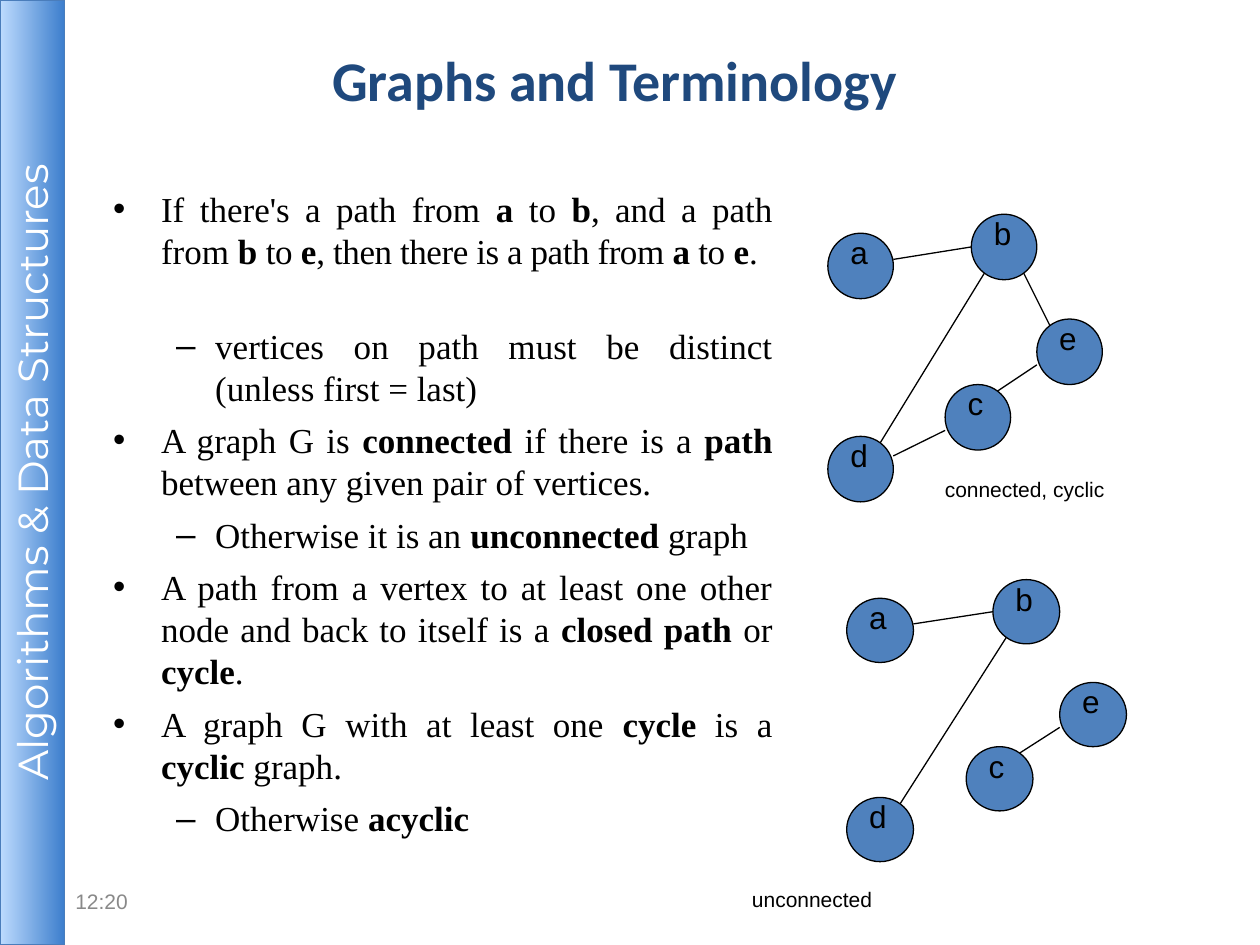
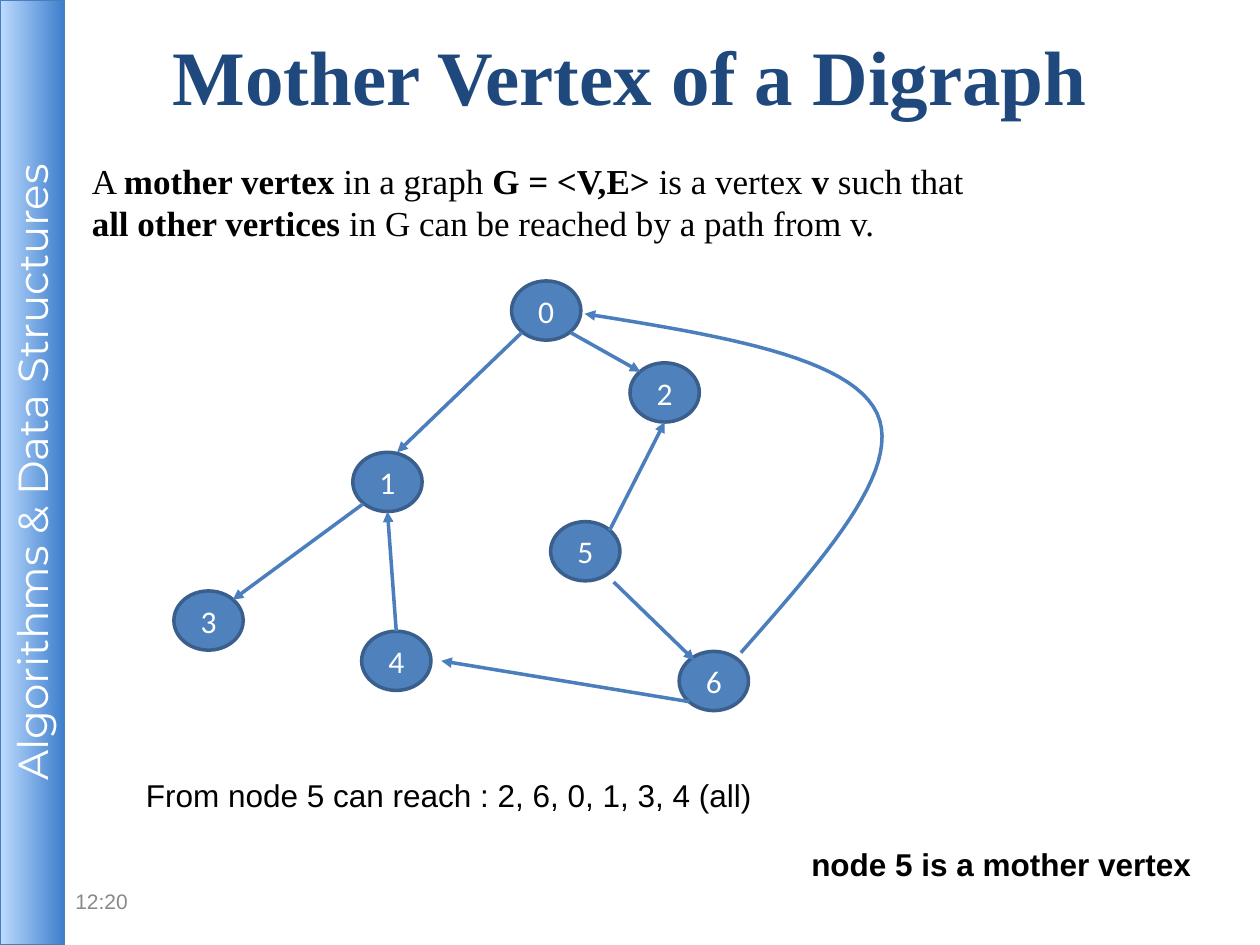
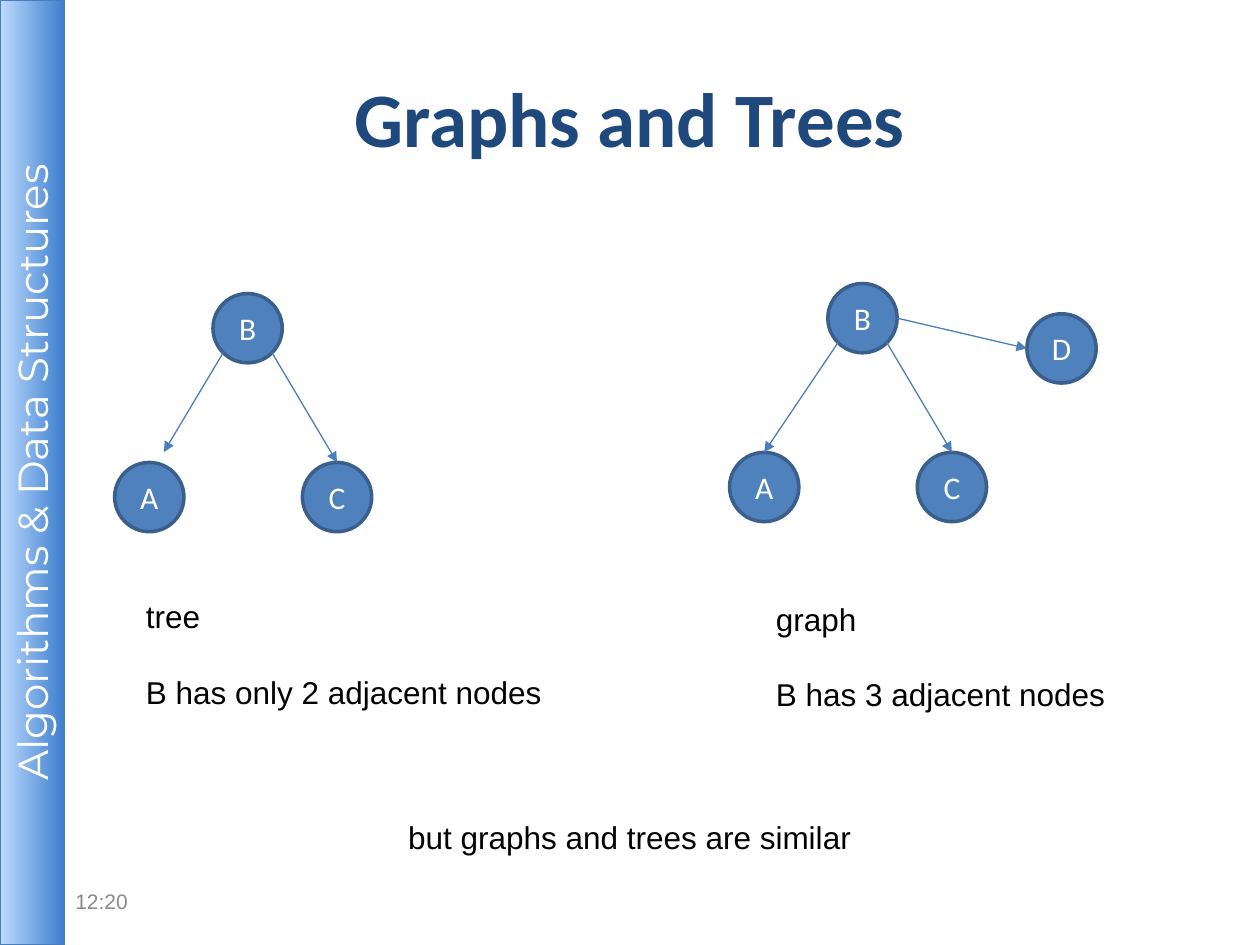
from dataclasses import dataclass
from lxml.etree import SubElement
from pptx import Presentation
from pptx.dml.color import RGBColor as RGB
from pptx.enum.shapes import MSO_CONNECTOR as CONN, MSO_SHAPE as SHAPE
from pptx.enum.text import MSO_ANCHOR as ANCHOR, MSO_AUTO_SIZE as AUTO, PP_ALIGN as ALIGN
from pptx.oxml.ns import qn
from pptx.util import Inches, Pt


@dataclass(frozen=True)
class Theme:
    title: str = "1F497D"
    ink: str = "000000"
    muted: str = "898989"
    white: str = "FFFFFF"
    node: str = "4F81BD"
    rim: str = "3A5F8C"
    arrow: str = "4B7EBC"
    band_line: str = "4A7DBB"
    band_from: str = "BDDBFE"
    band_to: str = "3E7FCD"
    sans: str = "Arial"
    serif: str = "Times New Roman"
    head: str = "Calibri"
    brand: str = "Montserrat"
    small: int = 12
    label: int = 18
    body: int = 20
    band: int = 24
    thin: float = 0.75
    thick: float = 2


T = Theme()
W, H = 10, 7.5
BAND_W = 0.51
COURSE = "Algorithms & Data Structures"
CLOCK = "12:20"

TERMS = [
    (0, "If there's a path from *a* to *b*, and a path from *b* to *e*, "
        "then there is a path from *a *to *e*."),
    (1, "vertices on path must be distinct (unless first = last)"),
    (0, "A graph G is *connected* if there is a *path* between any given pair of vertices."),
    (1, "Otherwise it is an* unconnected* graph"),
    (0, "A path from a vertex to at least one other node and back to itself "
        "is a *closed path* or *cycle*."),
    (0, "A graph G with at least one *cycle* is a *cyclic* graph."),
    (1, "Otherwise *acyclic*"),
]
BULLETS = [("•", 0.38, 0.38), ("–", 0.81, 0.31)]

MOTHER = [
    "A *mother vertex* in a graph *G = <V,E>* is a vertex *v* such that",
    "*all other vertices* in G can be reached by a path from v.",
]

LETTERS = {"a": (0, 0.29), "b": (2.19, 0), "d": (0, 3.39), "e": (3.19, 1.6), "c": (1.79, 2.6)}
AB = ("a", (1, 0.4), "b", (0, 0.5))
BE = ("b", (0.8, 0.9), "e", (0.2, 0.1))
EC = ("e", (0, 0.7), "c", (0.8, 0.1))
BD = ("b", (0.2, 0.9), "d", (0.8, 0.1))
CD = ("c", (0, 0.7), "d", (1, 0.3))
LETTER_GRAPHS = [
    ((6.57, 1.7), (0.52, 0.52), [AB, BE, EC, BD, CD], "connected, cyclic", (7.4, 3.73, 1.82, 0.38)),
    ((6.72, 4.6), (0.53, 0.51), [AB, EC, BD], "unconnected", (5.87, 6.99, 1.16, 0.3)),
]

DIGRAPH = {"0": (4.06, 2.23), "2": (5, 2.88), "5": (4.37, 4.14), "6": (5.39, 5.17),
           "1": (2.8, 3.59), "4": (2.87, 5.01), "3": (1.38, 4.69)}
DIGRAPH_EDGES = [
    ("0", (0.85, 0.87), "2", (0.15, 0.15)),
    ("5", (0.85, 0.15), "2", (0.5, 1)),
    ("5", (0.91, 1.02), "6", (0.22, 0.15)),
    ("6", (0.15, 0.85), "4", (1.15, 0.5)),
    ("4", (0.5, 0), "1", (0.5, 1)),
    ("0", (0.15, 0.87), "1", (0.64, 0)),
    ("1", (0.15, 0.87), "3", (0.85, 0.15)),
]
RETURN_ARC = [
    [(5.88, 5.18), (6.52, 4.45), (7.17, 3.73), (6.96, 3.28)],
    [(6.96, 3.28), (6.75, 2.83), (5.7, 2.66), (4.64, 2.49)],
]

FAMILY = {"B": (0, 0), "A": (-0.78, 1.34), "C": (0.71, 1.34), "D": (1.58, 0.24)}
B_TO_C = ("B", (0.85, 0.85), "C", (0.5, 0))
TREE_GRAPHS = [
    ((1.69, 2.33), "BAC", [("B", (0.15, 0.85), "A", (0.71, -0.15)), B_TO_C],
     ["tree", "B has only 2 adjacent nodes"], (1.06, 4.69, 3.46, 1.01)),
    ((6.57, 2.25), "BACD", [("B", (0.15, 0.85), "A", (0.5, 0)), B_TO_C,
                            ("B", (1, 0.5), "D", (0, 0.5))],
     ["graph", "B has 3 adjacent nodes"], (6.06, 4.71, 2.84, 1.01)),
]


def inches(values):
    return [Inches(v) for v in values]


def color(value):
    return RGB.from_string(value)


def add_runs(p, text, font, size, ink):
    for i, part in enumerate(text.split("*")):
        if part:
            r = p.add_run()
            r.text = part
            r.font.name, r.font.size = font, Pt(size)
            r.font.bold = i % 2 == 1
            r.font.color.rgb = color(ink)


def add_text(s, box, lines, font=T.sans, size=T.label, ink=T.ink, wrap=False, gap=0):
    tf = s.shapes.add_textbox(*inches(box)).text_frame
    tf.word_wrap = wrap
    tf.auto_size = AUTO.SHAPE_TO_FIT_TEXT
    for i, line in enumerate(lines):
        p = tf.paragraphs[0] if i == 0 else tf.add_paragraph()
        if i:
            p.space_before = Pt(gap)
        add_runs(p, line, font, size, ink)
    return tf


def add_node(s, box, rim, weight):
    sp = s.shapes.add_shape(SHAPE.OVAL, *inches(box))
    sp.shadow.inherit = False
    sp.fill.solid()
    sp.fill.fore_color.rgb = color(T.node)
    sp.line.color.rgb = color(rim)
    sp.line.width = Pt(weight)
    return sp


def style_line(sp, ink, weight, arrow):
    sp.line.color.rgb = color(ink)
    sp.line.width = Pt(weight)
    if arrow:
        SubElement(sp.element.spPr.find(qn("a:ln")), qn("a:tailEnd"), type="triangle")


def add_edges(s, nodes, size, edges, ink=T.arrow, weight=T.thick, arrow=True):
    def spot(name, share):
        return [at + f * length for at, f, length in zip(nodes[name], share, size)]

    for start, start_share, end, end_share in edges:
        ends = spot(start, start_share) + spot(end, end_share)
        c = s.shapes.add_connector(CONN.STRAIGHT, *inches(ends))
        style_line(c, ink, weight, arrow)
        SubElement(c.element.spPr, qn("a:effectLst"))


def add_named_nodes(s, nodes, size):
    for name, at in nodes.items():
        sp = add_node(s, (*at, *size), T.rim, T.thick)
        tf = sp.text_frame
        tf.vertical_anchor = ANCHOR.MIDDLE
        tf.paragraphs[0].alignment = ALIGN.CENTER
        add_runs(tf.paragraphs[0], name, T.head, T.label, T.white)


def place(nodes, origin, unit=(1, 1)):
    return {name: tuple(o + v * u for o, v, u in zip(origin, at, unit))
            for name, at in nodes.items()}


def add_arc(s, curves, steps=24):
    def bezier(curve, t):
        weights = ((1 - t) ** 3, 3 * t * (1 - t) ** 2, 3 * t ** 2 * (1 - t), t ** 3)
        return inches(sum(w * v for w, v in zip(weights, axis)) for axis in zip(*curve))

    points = [bezier(curve, i / steps) for curve in curves for i in range(1, steps + 1)]
    builder = s.shapes.build_freeform(*inches(curves[0][0]))
    builder.add_line_segments(points, close=False)
    sp = builder.convert_to_shape()
    sp.shadow.inherit = False
    sp.fill.background()
    style_line(sp, T.arrow, T.thick, True)


def add_band(s, layout):
    sp = s.shapes.add_shape(SHAPE.RECTANGLE, *inches((0, 0, BAND_W, H)))
    sp.shadow.inherit = False
    sp.fill.gradient()
    sp.fill.gradient_angle = 0
    for stop, ink in zip(sp.fill.gradient_stops, (T.band_from, T.band_to)):
        stop.color.rgb = color(ink)
    sp.line.color.rgb = color(T.band_line)
    sp.line.width = Pt(T.thin)
    tf = sp.text_frame
    tf.margin_left = tf.margin_right = tf.margin_top = tf.margin_bottom = Inches(0.04)
    tf.vertical_anchor = ANCHOR.MIDDLE
    tf.paragraphs[0].alignment = ALIGN.CENTER
    add_runs(tf.paragraphs[0], COURSE, T.brand, T.band, T.white)
    sp.element.txBody.find(qn("a:bodyPr")).set("vert", "vert270")
    sp.element.nvSpPr.cNvPr.set("id", "20")
    layout.shapes.element.insert(2, sp.element)


def add_slide(prs, title, left, top, font, size):
    s = prs.slides.add_slide(prs.slide_layouts[5])
    sp = s.shapes.title
    sp.left, sp.top, sp.width, sp.height = inches((left, top, 0.9 * W, H / 6))
    tf = sp.text_frame
    tf.vertical_anchor = ANCHOR.MIDDLE
    tf.paragraphs[0].alignment = ALIGN.CENTER
    add_runs(tf.paragraphs[0], f"*{title}*", font, size, T.title)
    tf = add_text(s, (0.5, 6.95, 2.33, 0.4), [CLOCK], size=T.small, ink=T.muted, wrap=True)
    tf.auto_size = AUTO.NONE
    tf.vertical_anchor = ANCHOR.MIDDLE
    return s


def add_terms(s):
    tf = add_text(s, (0.8, 1.44, 5.43, 5.29), [text for _, text in TERMS],
                  T.serif, T.body, wrap=True)
    tf.auto_size = AUTO.NONE
    for p, (level, _) in zip(tf.paragraphs, TERMS):
        mark, margin, hang = BULLETS[level]
        p.level = level
        p.alignment = ALIGN.JUSTIFY
        p.space_before = Pt(6)
        pPr = p._p.get_or_add_pPr()
        pPr.set("marL", str(Inches(margin)))
        pPr.set("indent", str(-Inches(hang)))
        SubElement(pPr, qn("a:buFont"), typeface=T.sans)
        SubElement(pPr, qn("a:buChar"), char=mark)
    first = tf.paragraphs[0]
    first.space_after = Pt(24)
    for r in first.runs[5:]:
        r.font._element.set("spc", "-25")


def terminology(prs):
    s = add_slide(prs, "Graphs and Terminology ", 0.43, 0, T.head, 32)
    add_band(s, prs.slide_layouts[5])
    add_terms(s)
    for origin, size, edges, caption, caption_box in LETTER_GRAPHS:
        nodes = place(LETTERS, origin, size)
        for name, (x, y) in nodes.items():
            add_node(s, (x, y, *size), T.ink, T.thin)
            add_text(s, (x + 0.08, y - 0.05, 0.43, 0.49), [name])
        add_edges(s, nodes, size, edges, T.ink, T.thin, False)
        add_text(s, caption_box, [caption], size=T.small)


def mother_vertex(prs):
    s = add_slide(prs, "Mother Vertex of a Digraph", 0.5, -0.03, T.serif, 44)
    add_text(s, (0.63, 1.22, 9.39, 0.77), MOTHER, T.serif, T.body, wrap=True)
    size = (0.55, 0.47)
    add_named_nodes(s, DIGRAPH, size)
    add_edges(s, DIGRAPH, size, DIGRAPH_EDGES)
    add_arc(s, RETURN_ARC)
    add_text(s, (1.06, 6.11, 5.05, 0.4), ["From node 5 can reach : 2, 6, 0, 1, 3, 4 (all)"])
    add_text(s, (6.34, 6.66, 3.25, 0.4), ["*node 5 is a mother vertex*"])


def graphs_and_trees(prs):
    s = add_slide(prs, "Graphs and Trees", 0.5, 0.3, T.head, 44)
    size = (0.55, 0.55)
    for origin, names, edges, caption, caption_box in TREE_GRAPHS:
        nodes = place({name: FAMILY[name] for name in names}, origin)
        add_named_nodes(s, nodes, size)
        add_edges(s, nodes, size, edges, weight=T.thin)
        add_text(s, caption_box, caption, gap=21.5)
    add_text(s, (3.14, 6.44, 3.75, 0.4), ["but graphs and trees are similar"])


def main():
    prs = Presentation()
    prs.slide_width, prs.slide_height = inches((W, H))
    for build in (terminology, mother_vertex, graphs_and_trees):
        build(prs)
    prs.save("out.pptx")


if __name__ == "__main__":
    main()
